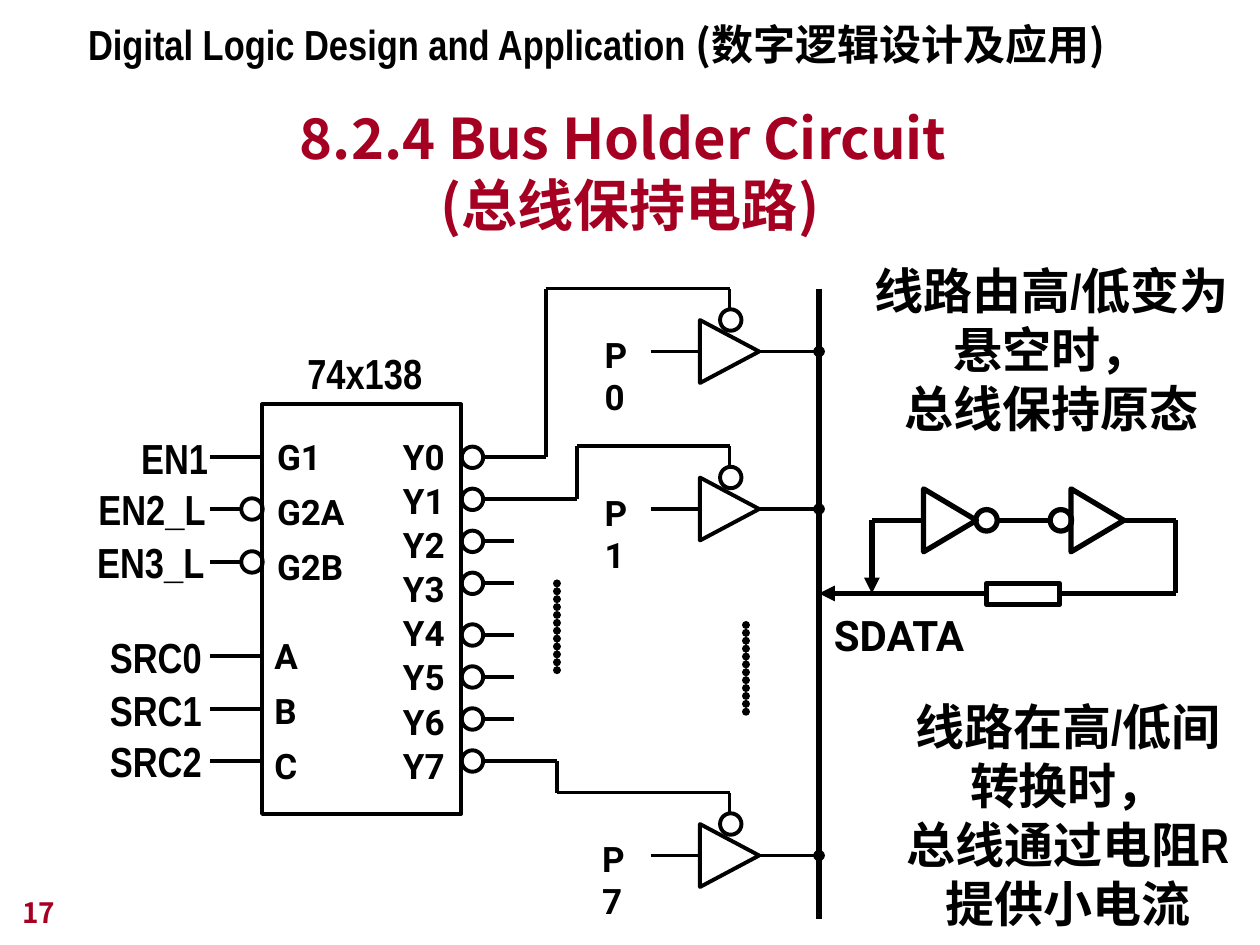
from typing import NamedTuple

from lxml import etree
from pptx import Presentation
from pptx.dml.color import RGBColor
from pptx.enum.shapes import MSO_CONNECTOR, MSO_SHAPE
from pptx.enum.text import MSO_ANCHOR, MSO_AUTO_SIZE, PP_ALIGN
from pptx.oxml.ns import qn
from pptx.util import Inches, Pt

BLACK = RGBColor(0x00, 0x00, 0x00)
CRIMSON = RGBColor(0xA5, 0x00, 0x21)
NARROW, ROBOTO, CJK = "Arial Narrow", "Roboto", "Noto Sans CJK JP"
LEFT, CENTER, RIGHT = PP_ALIGN.LEFT, PP_ALIGN.CENTER, PP_ALIGN.RIGHT
TOP, BOTTOM = MSO_ANCHOR.TOP, MSO_ANCHOR.BOTTOM
RECTANGLE, OVAL = MSO_SHAPE.RECTANGLE, MSO_SHAPE.OVAL
TRIANGLE = MSO_SHAPE.ISOSCELES_TRIANGLE
STRAIGHT = MSO_CONNECTOR.STRAIGHT
THIN, THICK, DOTTED = 2.25, 3, 4.5
BUBBLE = 0.17
BUS_X = 6.5


class Pin(NamedTuple):
    label: str
    left: float
    width: float
    y: float
    inverted: bool = False


class Buffer(NamedTuple):
    label: str
    label_left: float
    y: float
    output_y: float
    corner_x: float


INPUT_PINS = [
    Pin("EN1", 1.02, 0.73, 3.63),
    Pin("EN2_L", 0.68, 1.05, 4.04, True),
    Pin("EN3_L", 0.67, 1.05, 4.46, True),
    Pin("SRC0", 0.77, 0.93, 5.21),
    Pin("SRC1", 0.77, 0.93, 5.63),
    Pin("SRC2", 0.77, 0.93, 6.04),
]
OUTPUT_ROWS = [start + row / 3 for start in (3.63, 5.04) for row in range(4)]
BUFFERS = [
    Buffer("P0", 4.7, 2.79, OUTPUT_ROWS[0], 4.33),
    Buffer("P1", 4.7, 4.04, OUTPUT_ROWS[1], 4.58),
    Buffer("P7", 4.68, 6.79, OUTPUT_ROWS[7], 4.42),
]

presentation = Presentation()
presentation.slide_width, presentation.slide_height = Inches(10), Inches(7.5)
slide = presentation.slides.add_slide(presentation.slide_layouts[5])


def add_run(paragraph, text: str, font: str, size: float, color: RGBColor) -> None:
    run = paragraph.add_run()
    run.text = text
    run.font.name, run.font.size, run.font.bold = font, Pt(size), True
    run.font.color.rgb = color
    east_asian = etree.SubElement(run.font._element, qn("a:ea"))
    east_asian.set("typeface", CJK)


def add_text(text: str, left: float, top: float, width: float, height: float, *,
             font: str = NARROW, size: float = 24, color: RGBColor = BLACK,
             align=LEFT, anchor=TOP, spacing: float = 1.0, wrap: bool = False):
    """Add a text box with one paragraph per line of text."""
    box = slide.shapes.add_textbox(Inches(left), Inches(top), Inches(width), Inches(height))
    frame = box.text_frame
    frame.word_wrap, frame.vertical_anchor = wrap, anchor
    frame.auto_size = MSO_AUTO_SIZE.NONE if wrap else MSO_AUTO_SIZE.SHAPE_TO_FIT_TEXT
    for index, line in enumerate(text.split("\n")):
        paragraph = frame.add_paragraph() if index else frame.paragraphs[0]
        paragraph.alignment, paragraph.line_spacing = align, spacing
        add_run(paragraph, line, font, size, color)
    return box


def add_outline(kind, left: float, top: float, width: float, height: float,
                weight: float = THIN, rotation: float = 0) -> None:
    shape = slide.shapes.add_shape(kind, Inches(left), Inches(top), Inches(width), Inches(height))
    shape.shadow.inherit = False
    shape.fill.background()
    shape.line.color.rgb, shape.line.width = BLACK, Pt(weight)
    shape.rotation = rotation


def add_bubble(center_x: float, center_y: float, weight: float = THIN) -> None:
    add_outline(OVAL, center_x - BUBBLE / 2, center_y - BUBBLE / 2, BUBBLE, BUBBLE, weight)


def add_triangle(center_x: float, center_y: float, length: float, weight: float = THIN) -> None:
    """Add a gate triangle pointing right; its base is 0.5 inch."""
    add_outline(TRIANGLE, center_x - 0.25, center_y - length / 2, 0.5, length, weight, 90)


def add_wire(*points: tuple[float, float], weight: float = THIN,
             end: str = "", dotted: bool = False) -> None:
    """Join the points with straight lines; the last may carry an end mark."""
    for start, stop in zip(points, points[1:]):
        wire = slide.shapes.add_connector(STRAIGHT, *(Inches(value) for value in start + stop))
        wire.line.color.rgb, wire.line.width = BLACK, Pt(weight)
        line = wire.line._ln
        if dotted:
            line.set("cap", "rnd")
            dashes = etree.SubElement(line, qn("a:custDash"))
            etree.SubElement(dashes, qn("a:ds"), d="100000", sp="0")
        if end and stop == points[-1]:
            etree.SubElement(line, qn("a:tailEnd"), type=end)
        etree.SubElement(wire._element.spPr, qn("a:effectLst"))


# Title, course heading and page number
title = slide.shapes.title
title.left, title.top, title.width, title.height = map(Inches, (0.75, 0.68, 8.5, 1.26))
title.text_frame.vertical_anchor = BOTTOM
title.text_frame.auto_size = MSO_AUTO_SIZE.NONE
heading = title.text_frame.paragraphs[0]
heading.alignment = CENTER
add_run(heading, "8.2.4 Bus Holder Circuit ", CJK, 32, CRIMSON)
heading.add_line_break()
add_run(heading, "(总线保持电路)", CJK, 32, CRIMSON)

course = add_text("Digital Logic Design and Application ", 0.6, 0.1, 8.41, 0.5, wrap=True)
add_run(course.text_frame.paragraphs[0], "(数字逻辑设计及应用)", CJK, 24, BLACK)
add_text("17", 0.08, 6.92, 2.08, 0.5, font=CJK, size=16, color=CRIMSON,
         anchor=BOTTOM, wrap=True)

# Decoder body with its inner labels
add_outline(RECTANGLE, 2.08, 3.21, 1.58, 3.25)
add_text("74x138", 2.34, 2.71, 1.11, 0.5)
add_text("G1\nG2A\nG2B", 2.1, 3.31, 0.75, 1.4, font=ROBOTO, size=20, spacing=1.3)
add_text("A\nB\nC", 2.08, 4.89, 0.39, 1.4, font=ROBOTO, size=20, spacing=1.3)
add_text("\n".join(f"Y{row}" for row in range(8)), 3.1, 3.39, 0.53, 2.9,
         font=ROBOTO, size=20, spacing=1.05)

# Decoder pins
for pin in INPUT_PINS:
    add_text(pin.label, pin.left, pin.y - 0.25, pin.width, 0.5, align=RIGHT)
    add_wire((1.92 if pin.inverted else 2.08, pin.y), (1.67, pin.y))
    if pin.inverted:
        add_bubble(2.0, pin.y)
for output_y in OUTPUT_ROWS:
    add_bubble(3.75, output_y)
    add_wire((3.83, output_y), (4.08, output_y))

# Three-state buffers driving the bus
for buffer in BUFFERS:
    enable_y = buffer.y - 0.5
    add_text(buffer.label, buffer.label_left, buffer.y - 0.19, 0.5, 0.44,
             font=ROBOTO, size=20, wrap=True)
    add_triangle(5.79, buffer.y, 0.47)
    add_bubble(5.8, buffer.y - 0.25)
    add_wire((5.17, buffer.y), (5.56, buffer.y))
    add_wire((6.03, buffer.y), (BUS_X, buffer.y), end="oval")
    add_wire((4.0, buffer.output_y), (buffer.corner_x, buffer.output_y),
             (buffer.corner_x, enable_y), (5.79, enable_y), (5.79, enable_y + 0.17))
add_wire((BUS_X, 2.29), (BUS_X, 7.29), weight=THICK)

# Dots for the buffers left out
add_wire((4.42, 4.63), (4.42, 5.38), weight=DOTTED, dotted=True)
add_wire((5.92, 4.96), (5.92, 5.71), weight=DOTTED, dotted=True)

# Bus holder: two inverters with a feedback resistor
add_triangle(7.54, 4.13, 0.42, THICK)
add_triangle(8.71, 4.13, 0.42, THICK)
add_bubble(7.83, 4.13, THICK)
add_bubble(8.42, 4.13, THICK)
add_outline(RECTANGLE, 7.83, 4.63, 0.58, 0.17, THICK)
add_wire((7.92, 4.13), (8.33, 4.13), weight=THICK)
add_wire((8.92, 4.13), (9.33, 4.13), (9.33, 4.71), (8.42, 4.71), weight=THICK)
add_wire((7.83, 4.71), (BUS_X, 4.71), weight=THICK, end="triangle")
add_wire((7.33, 4.13), (6.92, 4.13), (6.92, 4.71), weight=THICK, end="triangle")
add_text("SDATA", 6.52, 4.79, 1.28, 0.5, font=ROBOTO)

# Remarks on the holder
add_text("线路由高/低变为\n悬空时，\n总线保持原态", 6.75, 2.02, 3.19, 1.5, size=28, align=CENTER)
add_text("线路在高/低间\n转换时，\n总线通过电阻R\n提供小电流", 7.05, 5.48, 2.85, 1.97,
         size=28, align=CENTER)

presentation.save("out.pptx")
